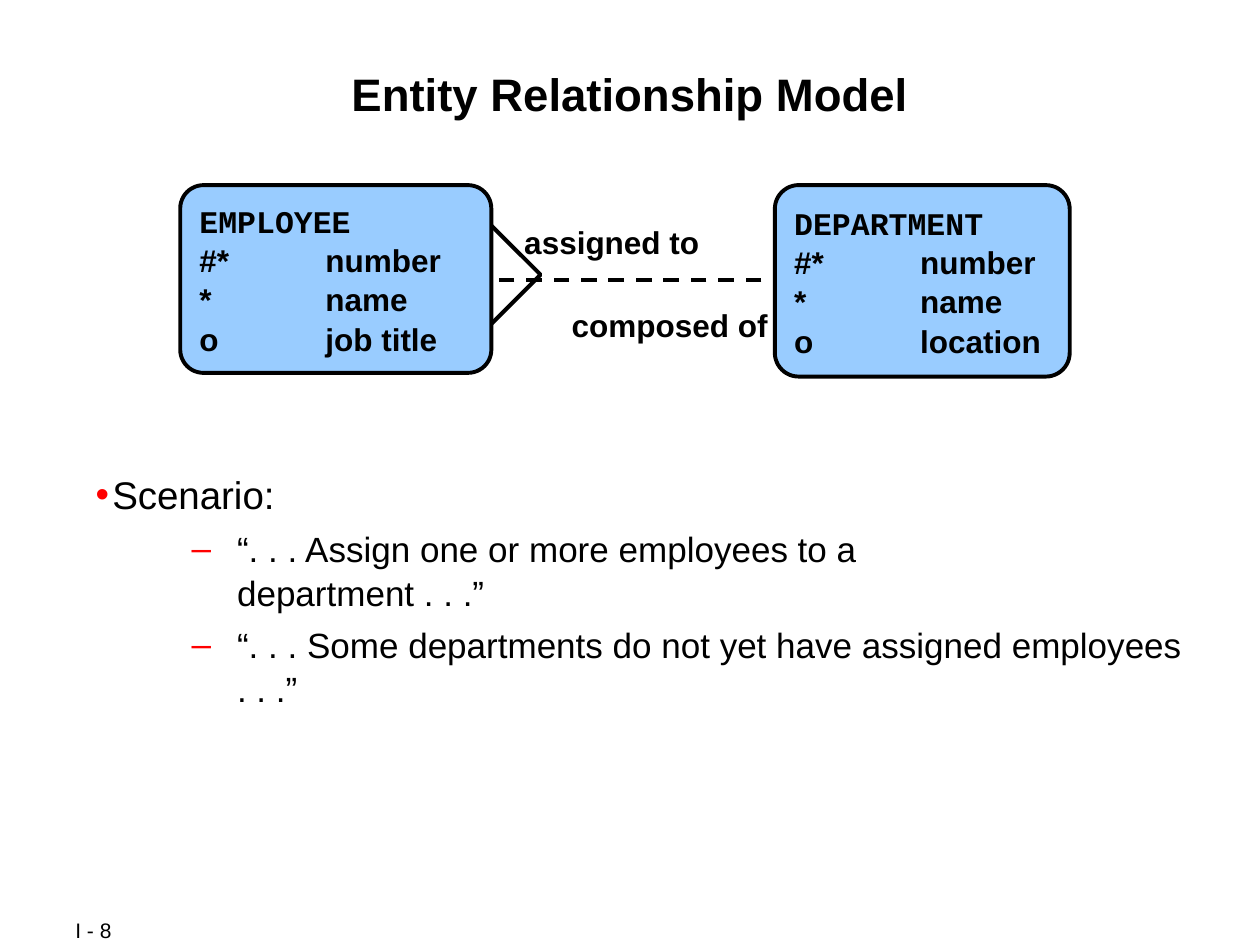
import pptx
import pptx.dml.color
import pptx.enum.dml
import pptx.enum.shapes
import pptx.enum.text
import pptx.oxml
import pptx.oxml.ns
import pptx.util

Pt = pptx.util.Pt
ALIGN = pptx.enum.text.PP_ALIGN
ANCHOR = pptx.enum.text.MSO_ANCHOR
SHAPE = pptx.enum.shapes.MSO_SHAPE


def rgb(value):
    return pptx.dml.color.RGBColor.from_string(value)


def apply(target, values):
    for name, value in values.items():
        setattr(target, name, value)


def element(markup):
    return pptx.oxml.parse_xml(f"<a:pPr {pptx.oxml.ns.nsdecls('a')}>{markup}</a:pPr>")[0]


class SlideBuilder:
    """Hold the diagram style and draw each kind of element on one slide."""

    ink, box_fill, accent = "000000", "99CCFF", "FF0000"
    line_width, line_spacing, tab_stop = 2.25, 1.04, 72

    def __init__(self, presentation):
        self.slide = presentation.slides.add_slide(presentation.slide_layouts[5])

    def frame(self, shape, anchor=ANCHOR.TOP, insets=(7.2, 3.6, 7.2, 3.6)):
        sides = ("margin_left", "margin_top", "margin_right", "margin_bottom")
        frame = shape.text_frame
        apply(frame, {"word_wrap": True, "auto_size": pptx.enum.text.MSO_AUTO_SIZE.NONE,
                      "vertical_anchor": anchor})
        apply(frame, {side: Pt(inset) for side, inset in zip(sides, insets)})
        return frame

    def fill_text(self, paragraph, text, size, bold=False, name="Arial",
                  align=ALIGN.LEFT, before=0):
        paragraph.text = text
        apply(paragraph, {"alignment": align, "space_before": Pt(before),
                          "line_spacing": self.line_spacing})
        for run in paragraph.runs:
            apply(run.font, {"size": Pt(size), "bold": bold, "name": name})
            run.font.color.rgb = rgb(self.ink)

    def paragraphs(self, frame, count):
        return [frame.paragraphs[0]] + [frame.add_paragraph() for _ in range(count - 1)]

    def outline(self, line):
        line.color.rgb = rgb(self.ink)
        line.width = Pt(self.line_width)

    def title(self, text, bounds):
        shape = self.slide.shapes.title
        apply(shape, dict(zip(("left", "top", "width", "height"), map(Pt, bounds))))
        frame = self.frame(shape, insets=(0.7, 2, 0.7, 0.7))
        self.fill_text(frame.paragraphs[0], text, 26, bold=True, align=ALIGN.CENTER)

    def label(self, text, bounds, size=18, bold=True, align=ALIGN.CENTER, anchor=ANCHOR.TOP):
        shape = self.slide.shapes.add_textbox(*map(Pt, bounds))
        frame = self.frame(shape, anchor)
        self.fill_text(frame.paragraphs[0], text, size, bold, align=align)

    def entity(self, name, attributes, bounds):
        shape = self.slide.shapes.add_shape(SHAPE.ROUNDED_RECTANGLE, *map(Pt, bounds))
        shape.adjustments[0] = 0.124
        shape.shadow.inherit = False
        shape.fill.solid()
        shape.fill.fore_color.rgb = rgb(self.box_fill)
        self.outline(shape.line)
        heading, *rows = self.paragraphs(self.frame(shape, ANCHOR.MIDDLE), len(attributes) + 1)
        self.fill_text(heading, name, 18, True, "Courier New")
        for paragraph, (mark, attribute) in zip(rows, attributes):
            paragraph._p.get_or_add_pPr().append(element(
                f'<a:tabLst><a:tab pos="{Pt(self.tab_stop)}" algn="l"/></a:tabLst>'))
            self.fill_text(paragraph, f"{mark}\t{attribute}", 18, True)

    def dashed_line(self, start, end):
        connector = self.slide.shapes.add_connector(
            pptx.enum.shapes.MSO_CONNECTOR.STRAIGHT, *map(Pt, start + end))
        self.outline(connector.line)
        connector.line.dash_style = pptx.enum.dml.MSO_LINE.DASH
        connector._element.spPr.append(element("<a:effectLst/>"))

    def crow_foot(self, start, *points):
        builder = self.slide.shapes.build_freeform(*map(Pt, start))
        builder.add_line_segments([tuple(map(Pt, point)) for point in points], close=False)
        shape = builder.convert_to_shape()
        shape.shadow.inherit = False
        shape.fill.background()
        self.outline(shape.line)

    def bullets(self, items, bounds):
        levels = {1: ("•", 22, 9.5, 9.5, 5.5), 2: ("–", 20, 80.8, 26, 5)}
        frame = self.frame(self.slide.shapes.add_textbox(*map(Pt, bounds)), insets=(0.7,) * 4)
        for index, (paragraph, (level, text)) in enumerate(
                zip(self.paragraphs(frame, len(items)), items)):
            mark, size, margin, hanging, before = levels[level]
            properties = paragraph._p.get_or_add_pPr()
            properties.set("marL", str(Pt(margin)))
            properties.set("indent", str(-Pt(hanging)))
            for markup in (f'<a:buClr><a:srgbClr val="{self.accent}"/></a:buClr>',
                           '<a:buFont typeface="Arial"/>', f'<a:buChar char="{mark}"/>'):
                properties.append(element(markup))
            self.fill_text(paragraph, text, size, before=before if index else 0)


def main():
    presentation = pptx.Presentation()
    apply(presentation, {"slide_width": Pt(720), "slide_height": Pt(540)})
    builder = SlideBuilder(presentation)
    builder.title("Entity Relationship Model", (48, 34.5, 624, 69))
    builder.dashed_line((450.7, 159.8), (260, 159.8))
    builder.crow_foot((280.8, 128.9), (308.9, 157), (272.9, 193))
    common = [("#*", "number"), ("*", "name")]
    builder.entity("EMPLOYEE", common + [("o", "job title")], (103, 105.8, 177.8, 107.3))
    builder.entity("DEPARTMENT", common + [("o", "location")], (442.8, 105.8, 168.5, 109.4))
    builder.label("assigned to", (292.3, 123.1, 114.5, 28.8))
    builder.label("composed of", (287.3, 170.6, 190.8, 28.8))
    builder.bullets([
        (1, "Scenario:"),
        (2, "“. . . Assign one or more employees to a\vdepartment . . .”"),
        (2, "“. . . Some departments do not yet have assigned employees\v. . .”"),
    ], (54, 267.5, 623.5, 133.5))
    builder.label("I - 8", (36, 524.2, 76.3, 14.4), size=12, bold=False,
                  align=ALIGN.LEFT, anchor=ANCHOR.MIDDLE)
    presentation.save("out.pptx")


if __name__ == "__main__":
    main()
